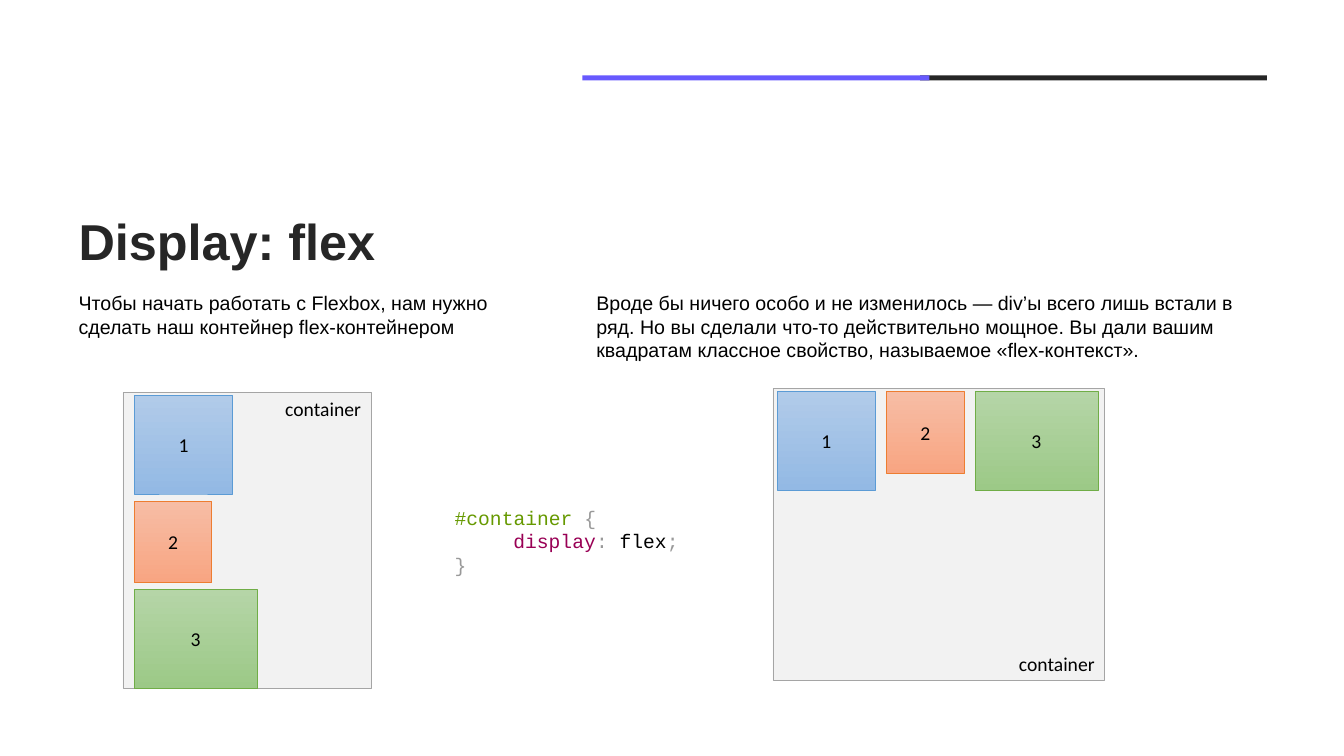
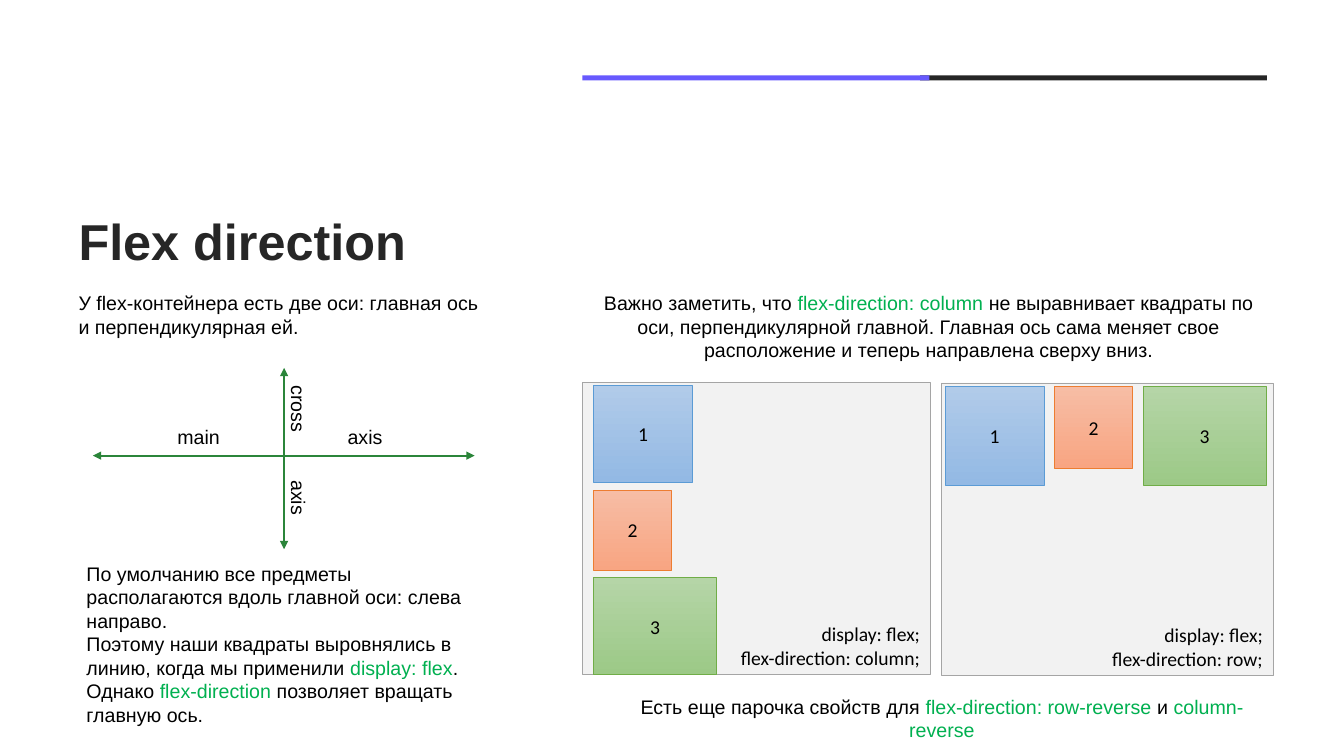
from dataclasses import dataclass
from typing import Any, NamedTuple

from lxml import etree
from pptx import Presentation
from pptx import util as u
from pptx.dml.color import RGBColor
from pptx.enum import shapes as kinds, text
from pptx.oxml import ns

BLACK, DARK, VIOLET = "000000", "262626", "6759FE"
GREEN, AXIS_GREEN = "00B050", "2B853A"
PANEL_FILL, PANEL_LINE = "F2F2F2", "A5A5A5"
SELECTOR, PROPERTY, PUNCTUATION = "669900", "990055", "999999"

LEFT, CENTER, RIGHT = text.PP_ALIGN.LEFT, text.PP_ALIGN.CENTER, text.PP_ALIGN.RIGHT
TOP, MIDDLE, BOTTOM = text.MSO_ANCHOR.TOP, text.MSO_ANCHOR.MIDDLE, text.MSO_ANCHOR.BOTTOM


class Box(NamedTuple):
    left: float
    top: float
    width: float
    height: float


class Run(NamedTuple):
    text: str
    color: str = BLACK


class Line(NamedTuple):
    runs: list[Run]
    indent: float = 0


class Item(NamedTuple):
    label: str
    width: float
    height: float
    top_color: str
    bottom_color: str
    border: str


@dataclass
class Container:
    box: Box
    captions: list[str]
    column: bool = False
    anchor: Any = BOTTOM
    item_scale: float = 1


class Label(NamedTuple):
    text: str
    box: Box
    rotation: int = 0


ITEMS = [
    Item("1", 2.49, 2.49, "B1CBE9", "93B9E4", "5B9BD5"),
    Item("2", 1.96, 2.06, "F7BDA5", "F8A582", "ED7D31"),
    Item("3", 3.1, 2.49, "B5D5A7", "9CC987", "70AD47"),
]
BANDS = [
    (Box(23.19, 1.9, 8.74, 0.13), DARK),
    (Box(14.68, 1.9, 8.74, 0.13), VIOLET),
]
TITLE_BOX = Box(1.73, 5.26, 30.2, 1.8)
LEFT_INTRO = Box(1.73, 7.21, 10.87, 1.45)
RIGHT_INTRO = Box(14.78, 7.21, 17.25, 2.06)
AXES = [(2.34, 11.48, 11.96, 11.48), (7.16, 9.27, 7.16, 13.84)]
AXIS_LABELS = [
    Label("main", Box(4.22, 10.59, 1.6, 0.86)),
    Label("axis", Box(8.51, 10.59, 1.4, 0.86)),
    Label("cross", Box(6.68, 9.88, 1.7, 0.86), 90),
    Label("axis", Box(6.83, 12.12, 1.4, 0.86), 90),
]


def rgb(value: str) -> RGBColor:
    return RGBColor.from_string(value)


def lengths(values: tuple[float, ...]) -> list[u.Length]:
    return [u.Cm(value) for value in values]


def plain(*values: str) -> list[Line]:
    return [Line([Run(value)]) for value in values]


def write(shape: Any, lines: list[Line], *, size: float = 14, font: str = "Arial",
          bold: bool = False, align: Any = LEFT, anchor: Any = TOP, wrap: bool = True,
          spacing: float = 1, margins: tuple[float, float] = (0.25, 0.13)) -> None:
    frame = shape.text_frame
    frame.word_wrap = wrap
    frame.vertical_anchor = anchor
    frame.margin_left = frame.margin_right = u.Cm(margins[0])
    frame.margin_top = frame.margin_bottom = u.Cm(margins[1])
    for index, line in enumerate(lines):
        paragraph = frame.add_paragraph() if index else frame.paragraphs[0]
        paragraph.alignment = align
        paragraph.line_spacing = spacing
        if line.indent:
            paragraph._p.get_or_add_pPr().set("marL", str(u.Cm(line.indent)))
        for part in line.runs:
            run = paragraph.add_run()
            run.text = part.text
            run.font.size = u.Pt(size)
            run.font.name = font
            run.font.bold = bold
            run.font.color.rgb = rgb(part.color)


def add_text(shapes: Any, box: Box, lines: list[Line], **style: Any) -> Any:
    shape = shapes.add_textbox(*lengths(box))
    write(shape, lines, **style)
    return shape


def add_rectangle(shapes: Any, box: Box, fill: str, border: str | None = None,
                  fill_end: str | None = None) -> Any:
    shape = shapes.add_shape(kinds.MSO_SHAPE.RECTANGLE, *lengths(box))
    shape.shadow.inherit = False
    if fill_end:
        shape.fill.gradient()
        shape.fill.gradient_angle = 270
        for stop, color in zip(shape.fill.gradient_stops, (fill, fill_end)):
            stop.color.rgb = rgb(color)
    else:
        shape.fill.solid()
        shape.fill.fore_color.rgb = rgb(fill)
    if border:
        shape.line.color.rgb = rgb(border)
        shape.line.width = u.Pt(0.5)
    else:
        shape.line.fill.background()
    return shape


def item_boxes(container: Container) -> list[Box]:
    left, top, _, height = container.box
    heights = [item.height * container.item_scale for item in ITEMS]
    if container.column:
        x, y = left + 0.28, top + 0.08
        gap = (height - 0.08 - sum(heights)) / (len(ITEMS) - 1)
    else:
        x, y, gap = left + 0.1, top + 0.09, 0.27
    boxes = []
    for item, item_height in zip(ITEMS, heights):
        boxes.append(Box(x, y, item.width, item_height))
        if container.column:
            y += item_height + gap
        else:
            x += item.width + gap
    return boxes


def add_container(slide: Any, container: Container) -> None:
    shapes = slide.shapes.add_group_shape().shapes
    panel = add_rectangle(shapes, container.box, PANEL_FILL, PANEL_LINE)
    write(panel, plain(*container.captions), font="Calibri", align=RIGHT,
          anchor=container.anchor)
    for item, box in zip(ITEMS, item_boxes(container)):
        shape = add_rectangle(shapes, box, item.top_color, item.border, item.bottom_color)
        write(shape, plain(item.label), font="Calibri", align=CENTER, anchor=MIDDLE)


def add_double_arrow(shapes: Any, ends: tuple[float, ...]) -> None:
    connector = shapes.add_connector(kinds.MSO_CONNECTOR.STRAIGHT, *lengths(ends))
    connector.line.color.rgb = rgb(AXIS_GREEN)
    connector.line.width = u.Pt(1.5)
    properties = connector.element.spPr
    outline = properties.find(ns.qn("a:ln"))
    for end in ("a:headEnd", "a:tailEnd"):
        etree.SubElement(outline, ns.qn(end), type="triangle")
    etree.SubElement(properties, ns.qn("a:effectLst"))


def add_axes(slide: Any) -> None:
    shapes = slide.shapes.add_group_shape().shapes
    for ends in AXES:
        add_double_arrow(shapes, ends)
    for label in AXIS_LABELS:
        shape = add_text(shapes, label.box, plain(label.text), wrap=False)
        shape.rotation = label.rotation


def add_slide(presentation: Any, title: str) -> Any:
    slide = presentation.slides.add_slide(presentation.slide_layouts[6])
    add_text(slide.shapes, TITLE_BOX, [Line([Run(title, DARK)])], size=36, bold=True,
             anchor=MIDDLE, spacing=0.9)
    for box, color in BANDS:
        add_rectangle(slide.shapes, box, color)
    return slide


def build_display_slide(presentation: Any) -> None:
    slide = add_slide(presentation, "Display: flex")
    add_container(slide, Container(Box(3.1, 9.88, 6.25, 7.47), ["container"],
                                   column=True, anchor=TOP))
    add_text(slide.shapes, LEFT_INTRO, plain(
        "Чтобы начать работать с Flexbox, нам нужно сделать наш контейнер flex-контейнером"))
    code = [
        Line([Run("#container ", SELECTOR), Run("{", PUNCTUATION)]),
        Line([Run("display", PROPERTY), Run(":", PUNCTUATION), Run(" flex"),
              Run(";", PUNCTUATION)], indent=1.48),
        Line([Run("}", PUNCTUATION)]),
    ]
    add_text(slide.shapes, Box(11.46, 12.55, 5.69, 2.16), code, font="Courier New",
             anchor=MIDDLE, margins=(0, 0.18))
    add_text(slide.shapes, RIGHT_INTRO, plain(
        "Вроде бы ничего особо и не изменилось — div’ы всего лишь встали в ряд. "
        "Но вы сделали что-то действительно мощное. Вы дали вашим квадратам "
        "классное свойство, называемое «flex-контекст»."))
    add_container(slide, Container(Box(19.48, 9.78, 8.36, 7.37), ["container"]))


def build_direction_slide(presentation: Any) -> None:
    slide = add_slide(presentation, "Flex direction")
    add_container(slide, Container(
        Box(14.68, 9.63, 8.76, 7.37), ["display: flex;", "flex-direction: column;"],
        column=True, item_scale=0.98))
    add_text(slide.shapes, LEFT_INTRO, plain(
        "У flex-контейнера есть две оси: главная ось и перпендикулярная ей."))
    add_text(slide.shapes, RIGHT_INTRO, [Line([
        Run("Важно заметить, что "), Run("flex-direction: column", GREEN),
        Run(" не выравнивает квадраты по оси, перпендикулярной главной. Главная ось "
            "сама меняет свое расположение и теперь направлена сверху вниз."),
    ])], align=CENTER)
    add_container(slide, Container(
        Box(23.72, 9.65, 8.36, 7.37), ["display: flex;", "flex-direction: row;"]))
    add_axes(slide)
    add_text(slide.shapes, Box(1.93, 14.02, 10.64, 4.45), [
        Line([Run("По умолчанию все предметы располагаются вдоль главной оси: "
                  "слева направо.")]),
        Line([Run("Поэтому наши квадраты выровнялись в линию, когда мы применили "),
              Run("display: flex", GREEN), Run(". Однако "),
              Run("flex-direction", GREEN), Run(" позволяет вращать главную ось.")]),
    ])
    add_text(slide.shapes, Box(15.27, 17.37, 16.94, 1.45), [Line([
        Run("Есть еще парочка свойств для "), Run("flex-direction: row-reverse ", GREEN),
        Run("и "), Run("column-reverse", GREEN),
    ])], align=CENTER)


def main() -> None:
    presentation = Presentation()
    presentation.slide_width = u.Cm(33.87)
    presentation.slide_height = u.Cm(19.05)
    build_display_slide(presentation)
    build_direction_slide(presentation)
    presentation.save("out.pptx")


if __name__ == "__main__":
    main()
